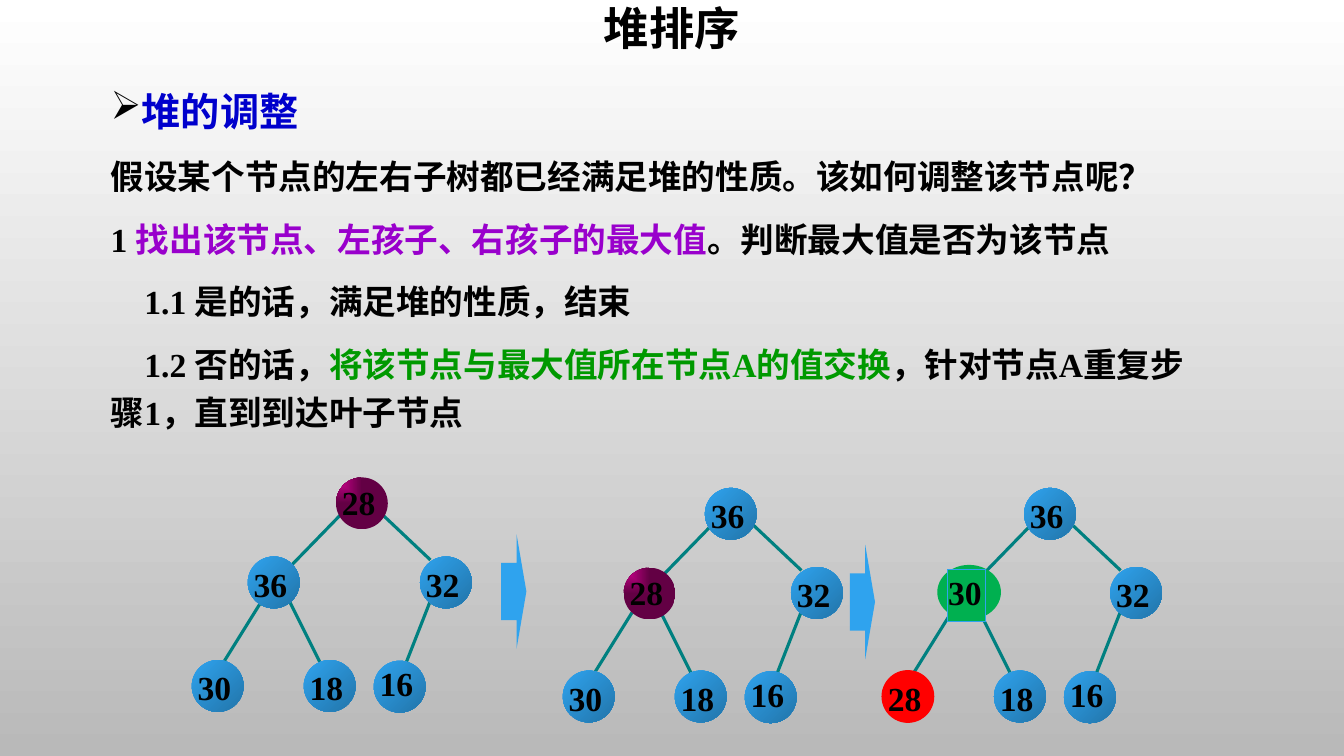
"""Build the heap adjustment slide, with three trees linked by arrows."""
from dataclasses import dataclass
from enum import Enum

from lxml import etree
from pptx import Presentation
from pptx import util as u
from pptx.dml.color import RGBColor
from pptx.enum import shapes, text
from pptx.oxml import ns


@dataclass(frozen=True)
class Theme:
    black: str = "000000"
    heading: str = "0000CC"
    purple: str = "9900CC"
    green: str = "009900"
    edge: str = "008080"
    accent: str = "2FA3EE"
    settled: str = "00B050"
    moved: str = "FF0000"
    backdrop: tuple[str, str] = ("FFFFFF", "B9B9B9")
    plain_node: tuple[str, str] = ("2FA3EE", "2275AA")
    active_node: tuple[str, str] = ("D60093", "630044")
    title_font: str = "Calibri"
    body_font: str = "Times New Roman"
    title_size: float = 32.4
    heading_size: float = 28
    body_size: float = 24


THEME = Theme()
NODE_SIZE = 37


class Style(Enum):
    PLAIN = "plain"
    ACTIVE = "active"
    MOVED = "moved"
    SETTLED = "settled"


@dataclass(frozen=True)
class Line:
    runs: tuple[tuple[str, str], ...]
    indent: float = 0
    size: float = THEME.body_size
    bullet: str = ""


@dataclass(frozen=True)
class Node:
    value: str
    x: float
    y: float
    style: Style = Style.PLAIN
    label_drop: float = 3


@dataclass(frozen=True)
class Tree:
    x: float
    y: float
    root: Node
    left: Node
    first_leaf: Node


LINES = (
    Line((("堆的调整", THEME.heading),), -18, THEME.heading_size, "➢"),
    Line((("假设某个节点的左右子树都已经满足堆的性质。该如何调整该节点呢？", THEME.black),)),
    Line((("1 ", THEME.black), ("找出该节点、左孩子、右孩子的最大值", THEME.purple),
          ("。判断最大值是否为该节点", THEME.black))),
    Line((("1.1 是的话，满足堆的性质，结束", THEME.black),), 24),
    Line((("1.2 否的话，", THEME.black), ("将该节点与最大值所在节点A的值交换", THEME.green),
          ("，针对节点A重复步骤1，直到到达叶子节点", THEME.black)), 24),
)
SHARED_NODES = (Node("32", 163, 56.5), Node("18", 80, 130.5),
                Node("16", 130, 131, label_drop=-0.5))
EDGES = ((135.5, 26, 170.5, 59), (106, 27, 71, 63), (69.5, 88, 92.5, 134),
         (49.5, 89, 21.5, 134), (170.5, 88, 152.5, 134))
TREES = (
    Tree(137, 341, Node("28", 103, 0, Style.ACTIVE, 1),
         Node("36", 40, 56.5), Node("30", 0, 130.5)),
    Tree(402, 348.5, Node("36", 101.5, 0),
         Node("28", 43.5, 57, Style.ACTIVE, 1), Node("30", 0, 130.5)),
    Tree(630, 348.5, Node("36", 101.5, 0),
         Node("30", 39.5, 55, Style.SETTLED), Node("28", 0, 130.5, Style.MOVED)),
)
ARROWS = ((358, 381.5), (607, 389))


def color(value: str) -> RGBColor:
    """Turn a hex value into a colour."""
    return RGBColor.from_string(value)


def points(*lengths: float) -> list[u.Pt]:
    """Turn numbers into point lengths."""
    return [u.Pt(length) for length in lengths]


def paint_gradient(fill, stops: tuple[str, str], angle: float) -> None:
    """Fill with a two-colour linear gradient."""
    fill.gradient()
    fill.gradient_angle = angle
    for stop, value, position in zip(fill.gradient_stops, stops, (0, 1)):
        stop.color.rgb = color(value)
        stop.position = position


def spread_from_corner(shape) -> None:
    """Make a gradient run outwards from the top left corner."""
    linear = shape._element.spPr.find(".//" + ns.qn("a:lin"))
    route = etree.Element(ns.qn("a:path"), path="rect")
    etree.SubElement(route, ns.qn("a:fillToRect"), r="100000", b="100000")
    linear.getparent().replace(linear, route)


def format_run(run, size: float, value: str, font: str = THEME.body_font) -> None:
    """Set the bold face, size and colour of a run."""
    run.font.name, run.font.size, run.font.bold = font, u.Pt(size), True
    run.font.color.rgb = color(value)


def add_plain_shape(slide, kind, box: tuple[float, ...], fill: str, line: str = ""):
    """Add a solid shape, with a thin outline where one is given."""
    shape = slide.shapes.add_shape(kind, *points(*box))
    shape.shadow.inherit = False
    shape.fill.solid()
    shape.fill.fore_color.rgb = color(fill)
    if line:
        shape.line.color.rgb = color(line)
        shape.line.width = u.Pt(0.75)
    else:
        shape.line.fill.background()
    return shape


def write_label(shape, value: str) -> None:
    """Write a node value at the top left of a shape."""
    frame = shape.text_frame
    frame.text = value
    frame.word_wrap = True
    frame.vertical_anchor = text.MSO_ANCHOR.TOP
    (frame.margin_left, frame.margin_top,
     frame.margin_right, frame.margin_bottom) = points(0.7, 2.2, 0, 0.7)
    paragraph = frame.paragraphs[0]
    paragraph.alignment = text.PP_ALIGN.LEFT
    format_run(paragraph.runs[0], THEME.body_size, THEME.black)


def draw_node(slide, tree: Tree, node: Node) -> None:
    """Draw one tree node and its value."""
    x, y = tree.x + node.x, tree.y + node.y
    oval = shapes.MSO_SHAPE.OVAL
    if node.style is Style.SETTLED:
        add_plain_shape(slide, oval, (x, y, 45.5, 39), THEME.settled)
        label = add_plain_shape(slide, shapes.MSO_SHAPE.RECTANGLE,
                                (x + 7, y + 3, 27.5, 37.5), THEME.settled, THEME.accent)
    else:
        outline = THEME.moved if node.style is Style.MOVED else ""
        circle = add_plain_shape(slide, oval, (x, y, NODE_SIZE, NODE_SIZE),
                                 THEME.moved, outline)
        if node.style is Style.PLAIN:
            paint_gradient(circle.fill, THEME.plain_node, 315)
        elif node.style is Style.ACTIVE:
            paint_gradient(circle.fill, THEME.active_node, 315)
            spread_from_corner(circle)
        label = slide.shapes.add_textbox(*points(x + 3.5, y + node.label_drop, 28, 40))
    write_label(label, node.value)


def draw_tree(slide, tree: Tree) -> None:
    """Draw the edges of a tree, then its nodes."""
    for x1, y1, x2, y2 in EDGES:
        edge = slide.shapes.add_connector(
            shapes.MSO_CONNECTOR.STRAIGHT,
            *points(tree.x + x1, tree.y + y1, tree.x + x2, tree.y + y2))
        edge.line.color.rgb = color(THEME.edge)
        edge.line.width = u.Pt(2.25)
        etree.SubElement(edge._element.spPr, ns.qn("a:effectLst"))
    for node in (tree.root, tree.left, tree.first_leaf, *SHARED_NODES):
        draw_node(slide, tree, node)


def write_title(slide) -> None:
    """Place and format the slide title."""
    title = slide.shapes.title
    title.left, title.top, title.width, title.height = points(72, 0, 816, 44.5)
    frame = title.text_frame
    frame.text = "堆排序"
    frame.auto_size = text.MSO_AUTO_SIZE.NONE
    frame.vertical_anchor = text.MSO_ANCHOR.MIDDLE
    paragraph = frame.paragraphs[0]
    paragraph.alignment, paragraph.line_spacing = text.PP_ALIGN.CENTER, 0.9
    format_run(paragraph.runs[0], THEME.title_size, THEME.black, THEME.title_font)


def write_body(slide) -> None:
    """Write the heading and the steps."""
    frame = slide.shapes.add_textbox(*points(72, 52, 782, 268)).text_frame
    frame.word_wrap = True
    for index, line in enumerate(LINES):
        paragraph = frame.add_paragraph() if index else frame.paragraphs[0]
        paragraph.line_spacing, paragraph.space_before = 1.2, u.Pt(10)
        properties = paragraph._p.get_or_add_pPr()
        properties.set("marL", str(u.Pt(max(0, -line.indent))))
        properties.set("indent", str(u.Pt(line.indent)))
        if line.bullet:
            tint = etree.SubElement(properties, ns.qn("a:buClr"))
            etree.SubElement(tint, ns.qn("a:srgbClr"), val=THEME.black)
            etree.SubElement(properties, ns.qn("a:buChar"), char=line.bullet)
        for words, value in line.runs:
            run = paragraph.add_run()
            run.text = words
            format_run(run, line.size, value)


def main() -> None:
    """Build and save the presentation."""
    presentation = Presentation()
    presentation.slide_width, presentation.slide_height = points(960, 540)
    slide = presentation.slides.add_slide(presentation.slide_layouts[5])
    paint_gradient(slide.background.fill, THEME.backdrop, 270)
    write_title(slide)
    write_body(slide)
    for tree in TREES:
        draw_tree(slide, tree)
    for x, y in ARROWS:
        arrow = add_plain_shape(slide, shapes.MSO_SHAPE.RIGHT_ARROW,
                                (x, y, 18, 82), THEME.accent)
        arrow.adjustments[1] = 0.39
    presentation.save("out.pptx")


if __name__ == "__main__":
    main()
